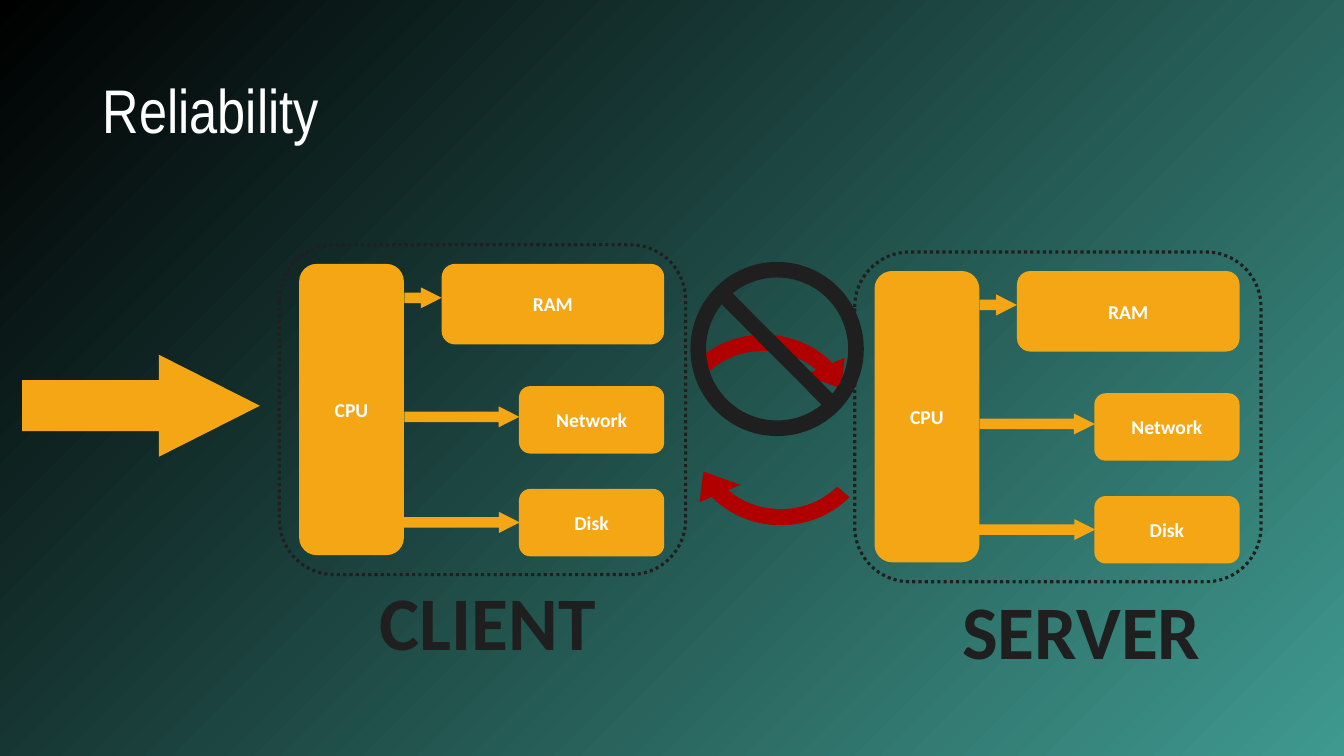
import pptx
import pptx.dml.color
import pptx.enum.dml
import pptx.enum.shapes
import pptx.enum.text
import pptx.oxml
import pptx.oxml.ns
import pptx.util
from dataclasses import dataclass

Cm = pptx.util.Cm
Kind = pptx.enum.shapes.MSO_SHAPE
Align = pptx.enum.text.PP_ALIGN
Anchor = pptx.enum.text.MSO_ANCHOR
Fit = pptx.enum.text.MSO_AUTO_SIZE


@dataclass(frozen=True)
class Theme:
    amber: str = "F5A615"
    red: str = "B00000"
    dark: str = "201F1F"
    white: str = "FFFFFF"
    teal: str = "3F998F"
    black: str = "000000"
    head: str = "Arial Narrow"
    body: str = "Calibri"
    large: int = 54
    medium: int = 44
    small: int = 14


def rgb(code):
    return pptx.dml.color.RGBColor.from_string(code)


def write(frame, text, *, font, size, color, bold=False, align=Align.LEFT,
          anchor=Anchor.TOP, wrap=True, fit=Fit.NONE, space=None):
    frame.word_wrap = wrap
    frame.auto_size = fit
    frame.vertical_anchor = anchor
    para = frame.paragraphs[0]
    para.alignment = align
    if space:
        para.line_spacing = space
    run = para.add_run()
    run.text = text
    run.font.name = font
    run.font.size = pptx.util.Pt(size)
    run.font.bold = bold
    run.font.color.rgb = rgb(color)


class Deck:
    def __init__(self, theme, wide, high):
        self.theme = theme
        self.show = pptx.Presentation()
        self.show.slide_width = Cm(wide)
        self.show.slide_height = Cm(high)
        self.slide = self.show.slides.add_slide(self.show.slide_layouts[5])

    def back(self, start, end):
        """Fill the background with a gradient that spreads from the bottom right."""
        fill = self.slide.background.fill
        fill.gradient()
        for stop, code in zip(fill.gradient_stops, (start, end)):
            stop.color.rgb = rgb(code)
        line = next(self.slide.element.iter(pptx.oxml.ns.qn("a:lin")))
        line.getparent().replace(line, pptx.oxml.parse_xml(
            f'<a:path {pptx.oxml.ns.nsdecls("a")} path="circle">'
            '<a:fillToRect l="100000" t="100000"/></a:path>'))

    def title(self, text, box):
        head = self.slide.shapes.title
        head.left, head.top, head.width, head.height = map(Cm, box)
        write(head.text_frame, text, font=self.theme.head, size=self.theme.medium,
              color=self.theme.white, anchor=Anchor.MIDDLE, space=0.9)

    def shape(self, kind, box, fill=None, adjust=(), turn=0, group=None):
        home = group or self.slide
        item = home.shapes.add_shape(kind, *map(Cm, box))
        item.shadow.inherit = False
        item.line.fill.background()
        if fill:
            item.fill.solid()
            item.fill.fore_color.rgb = rgb(fill)
        else:
            item.fill.background()
        for index, value in enumerate(adjust):
            item.adjustments[index] = value
        item.rotation = turn
        return item

    def arrow(self, box, group=None):
        self.shape(Kind.RIGHT_ARROW, box, self.theme.amber, (0.5, 0.99), group=group)

    def block(self, text, box, group):
        item = self.shape(Kind.ROUNDED_RECTANGLE, box, self.theme.amber, group=group)
        write(item.text_frame, text, font=self.theme.body, size=self.theme.small,
              color=self.theme.white, bold=True, align=Align.CENTER,
              anchor=Anchor.MIDDLE)

    def frame(self, box, group):
        item = self.shape(Kind.ROUNDED_RECTANGLE, box, group=group)
        item.line.color.rgb = rgb(self.theme.dark)
        item.line.width = pptx.util.Pt(2.25)
        item.line.dash_style = pptx.enum.dml.MSO_LINE.ROUND_DOT

    def label(self, text, box):
        item = self.slide.shapes.add_textbox(*map(Cm, box))
        write(item.text_frame, text, font=self.theme.body, size=self.theme.large,
              color=self.theme.dark, bold=True, wrap=False,
              fit=Fit.SHAPE_TO_FIT_TEXT)

    def host(self, left, top):
        """Draw one machine: its blocks, dotted frame and inner arrows."""
        group = self.slide.shapes.add_group_shape()
        for text, x, y, wide, high in BLOCKS:
            self.block(text, (left + x, top + y, wide, high), group)
        self.frame((left, top, 10.24, 8.31), group)
        for x, y, wide in FLOWS:
            self.arrow((left + x, top + y, wide, 0.53), group)


# Offsets in centimetres from the top left of a machine's frame
BLOCKS = (
    ("CPU", 0.5, 0.48, 2.64, 7.34),
    ("RAM", 4.09, 0.48, 5.61, 2.03),
    ("Network", 6.04, 3.56, 3.66, 1.7),
    ("Disk", 6.04, 6.15, 3.66, 1.7),
)
FLOWS = ((3.15, 1.07, 0.94), (3.15, 4.07, 2.9), (2.99, 6.73, 3.07))
CURVE = (0.08, 11.42, 190.74, 132.28, 0.11)


def main():
    theme = Theme()
    deck = Deck(theme, 33.87, 19.05)
    deck.back(theme.teal, theme.black)
    deck.title("Reliability", (2.34, 1.02, 29.21, 3.68))
    deck.arrow((0.56, 8.94, 5.99, 2.57))
    deck.host(7.04, 6.17)
    deck.host(21.54, 6.35)
    deck.label("CLIENT", (9.32, 14.35, 6.02, 2.57))
    deck.label("SERVER", (24, 14.6, 6.58, 2.57))
    for left, top, turn in ((16.54, 8.08, 0), (16.97, 8.51, 180)):
        deck.shape(Kind.CIRCULAR_ARROW, (left, top, 5.41, 5.08), theme.red, CURVE, turn)
    deck.shape(Kind.NO_SYMBOL, (17.4, 6.6, 4.37, 4.39), theme.dark, (0.09,))
    deck.show.save("out.pptx")


if __name__ == "__main__":
    main()
